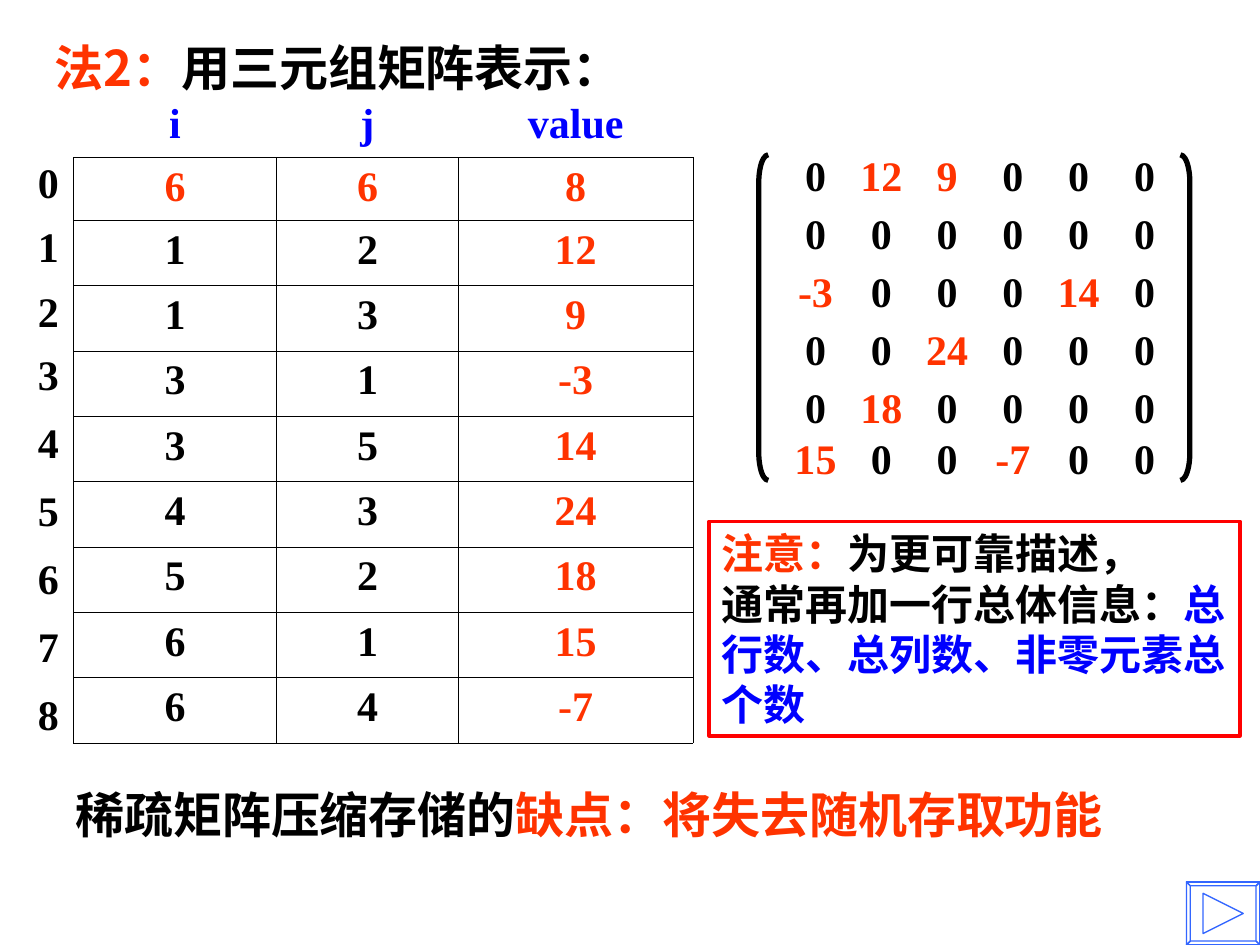
from dataclasses import dataclass

from lxml.etree import SubElement
from pptx import Presentation
from pptx.dml.color import RGBColor
from pptx.enum.shapes import MSO_SHAPE
from pptx.enum.text import MSO_ANCHOR, PP_ALIGN
from pptx.oxml.ns import qn
from pptx.util import Pt


@dataclass(frozen=True)
class Theme:
    black: str = "000000"
    accent: str = "FF3300"
    blue: str = "0000FF"
    frame: str = "FF0000"
    button: str = "3366FF"
    heading_size: int = 28
    body_size: int = 24
    heading_font: str = "Noto Sans CJK SC"
    number_font: str = "Times New Roman"


class SlideBuilder:
    def __init__(self, page, theme):
        self.page = page
        self.theme = theme

    def add_spans(self, para, spans, size, font):
        """Add (text, colour) spans to a paragraph as bold runs."""
        for text, color in spans:
            span = para.add_run()
            span.text = text
            span.font.size = Pt(size)
            span.font.bold = True
            span.font.name = font
            span.font.color.rgb = RGBColor.from_string(color)
            SubElement(span.font._element, qn("a:ea"), typeface=font)

    def prepare(self, box, bounds, anchor=MSO_ANCHOR.TOP):
        box.left, box.top, box.width, box.height = map(Pt, bounds)
        frame = box.text_frame
        frame.word_wrap = True
        frame.vertical_anchor = anchor
        return frame

    def outline(self, shape, color, width):
        shape.shadow.inherit = False
        shape.fill.background()
        shape.line.color.rgb = RGBColor.from_string(color)
        shape.line.width = Pt(width)

    def heading(self, box, bounds, spans):
        para = self.prepare(box, bounds).paragraphs[0]
        para.alignment = PP_ALIGN.LEFT
        para.line_spacing = Pt(self.theme.heading_size * 1.2)
        self.add_spans(para, spans, self.theme.heading_size, self.theme.heading_font)

    def title(self, bounds, spans):
        self.heading(self.page.shapes.title, bounds, spans)

    def text(self, bounds, spans):
        self.heading(self.page.shapes.add_textbox(0, 0, 0, 0), bounds, spans)

    def note(self, bounds, lines):
        box = self.page.shapes.add_shape(MSO_SHAPE.RECTANGLE, 0, 0, 0, 0)
        self.outline(box, self.theme.frame, 2.25)
        frame = self.prepare(box, bounds)
        for index, spans in enumerate(lines):
            para = frame.add_paragraph() if index else frame.paragraphs[0]
            para.alignment = PP_ALIGN.LEFT
            para.line_spacing = Pt(self.theme.body_size * 1.2)
            self.add_spans(para, spans, self.theme.body_size, self.theme.heading_font)

    def bracket(self, kind, left, top, height):
        shape = self.page.shapes.add_shape(kind, Pt(left), Pt(top), Pt(5.4), Pt(height))
        shape.adjustments[0] = 2.9
        self.outline(shape, self.theme.black, 3)

    def matrix_row(self, bounds, values, first_stop, pitch):
        """Set one matrix row on centred tab stops, nonzero values in accent."""
        box = self.page.shapes.add_textbox(0, 0, 0, 0)
        frame = self.prepare(box, bounds, MSO_ANCHOR.MIDDLE)
        frame.margin_left = frame.margin_right = 0
        para = frame.paragraphs[0]
        stops = SubElement(para._p.get_or_add_pPr(), qn("a:tabLst"))
        for column in range(len(values)):
            SubElement(stops, qn("a:tab"), pos=str(Pt(first_stop + column * pitch)), algn="ctr")
        spans = [(f"\t{value}", self.theme.accent if value else self.theme.black)
                 for value in values]
        self.add_spans(para, spans, self.theme.body_size, self.theme.number_font)

    def borders(self, cell, width):
        properties = cell._tc.get_or_add_tcPr()
        for side in ("lnL", "lnR", "lnT", "lnB"):
            line = SubElement(properties, qn(f"a:{side}"), w=str(Pt(width)))
            if width:
                fill = SubElement(line, qn("a:solidFill"))
                SubElement(fill, qn("a:srgbClr"), val=self.theme.black)
            else:
                SubElement(line, qn("a:noFill"))

    def table(self, left, top, widths, heights, rows, colors,
              border=0, alignment=PP_ALIGN.CENTER):
        """Draw a table with one text colour for each column."""
        table = self.page.shapes.add_table(
            len(rows), len(widths), Pt(left), Pt(top),
            Pt(sum(widths)), Pt(sum(heights))).table
        table.first_row = table.horz_banding = False
        for column, width in zip(table.columns, widths):
            column.width = Pt(width)
        for row, height, values in zip(table.rows, heights, rows):
            row.height = Pt(height)
            for cell, value, color in zip(row.cells, values, colors):
                self.borders(cell, border)
                cell.fill.background()
                para = cell.text_frame.paragraphs[0]
                para.alignment = alignment
                self.add_spans(para, [(str(value), color)],
                               self.theme.body_size, self.theme.number_font)

    def next_button(self, left, top, right, bottom, bevel):
        outer = [(left, top), (right, top), (right, bottom), (left, bottom)]
        inner = [(left + bevel, top + bevel), (right - bevel, top + bevel),
                 (right - bevel, bottom - bevel), (left + bevel, bottom - bevel)]
        sides = [[outer[i], outer[(i + 1) % 4], inner[(i + 1) % 4], inner[i]]
                 for i in range(4)]
        middle = (top + bottom) / 2
        triangle = [(left + 9.5, middle - 11.5), (left + 32.5, middle),
                    (left + 9.5, middle + 11.5)]
        builder = self.page.shapes.build_freeform(Pt(left), Pt(top))
        for contour in (outer, *sides, triangle):
            points = [(Pt(x), Pt(y)) for x, y in contour]
            builder.move_to(*points[0])
            builder.add_line_segments(points[1:], close=True)
        self.outline(builder.convert_to_shape(), self.theme.button, 0.75)


def main():
    deck = Presentation()
    deck.slide_width, deck.slide_height = Pt(720), Pt(540)
    theme = Theme()
    slide = SlideBuilder(deck.slides.add_slide(deck.slide_layouts[5]), theme)
    black, accent, blue = theme.black, theme.accent, theme.blue

    slide.title((24, 18, 358.5, 41), [("法2：", accent), ("用三元组矩阵表示：", black)])

    matrix = [
        (0, 12, 9, 0, 0, 0),
        (0, 0, 0, 0, 0, 0),
        (-3, 0, 0, 0, 14, 0),
        (0, 0, 24, 0, 0, 0),
        (0, 18, 0, 0, 0, 0),
        (15, 0, 0, -7, 0, 0),
    ]
    slide.bracket(MSO_SHAPE.LEFT_BRACKET, 433.6, 88.5, 186)
    slide.bracket(MSO_SHAPE.RIGHT_BRACKET, 674.5, 88.5, 186)
    for top, values in zip((88.5, 121.6, 154.7, 187.8, 220.9, 250), matrix):
        slide.matrix_row((446.5, top, 221, 23), values, 19.5, 37.6)

    triples = [(row, column, value)
               for row, values in enumerate(matrix, 1)
               for column, value in enumerate(values, 1) if value]
    widths = (116, 104, 134)
    slide.table(42, 126, widths, [37.35] * len(triples), triples,
                (black, black, accent), border=0.45)
    slide.next_button(678, 504, 720, 540, 2.2)
    slide.note((405.3, 298, 303.3, 122.4), [
        [("注意：", accent), ("为更可靠描述，", black)],
        [("通常再加一行总体信息：", black), ("总行数、总列数、非零元素总个数", blue)],
    ])
    totals = (len(matrix), len(matrix[0]), len(triples))
    slide.table(42, 90, widths, [36], [totals], [accent] * 3, border=0.11)
    slide.table(42, 54, widths, [36], [("i", "j", "value")], [blue] * 3)
    slide.text((36, 445, 669.6, 41),
               [("稀疏矩阵压缩存储的", black), ("缺点：将失去随机存取功能", accent)])
    slide.table(14.4, 88.5, [24], [36.5, 37, 36] + [38.9] * 5 + [36],
                [(number,) for number in range(len(triples) + 1)],
                [black], alignment=PP_ALIGN.LEFT)
    deck.save("out.pptx")


if __name__ == "__main__":
    main()
